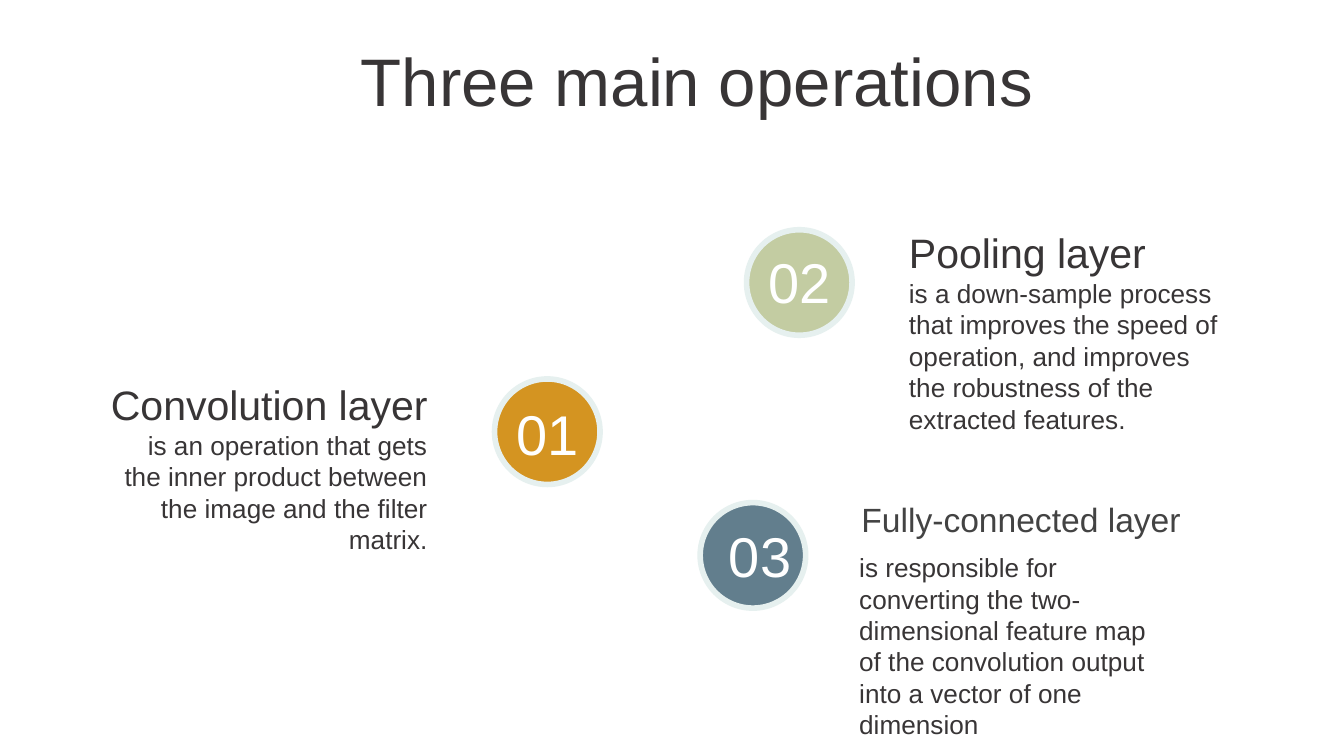
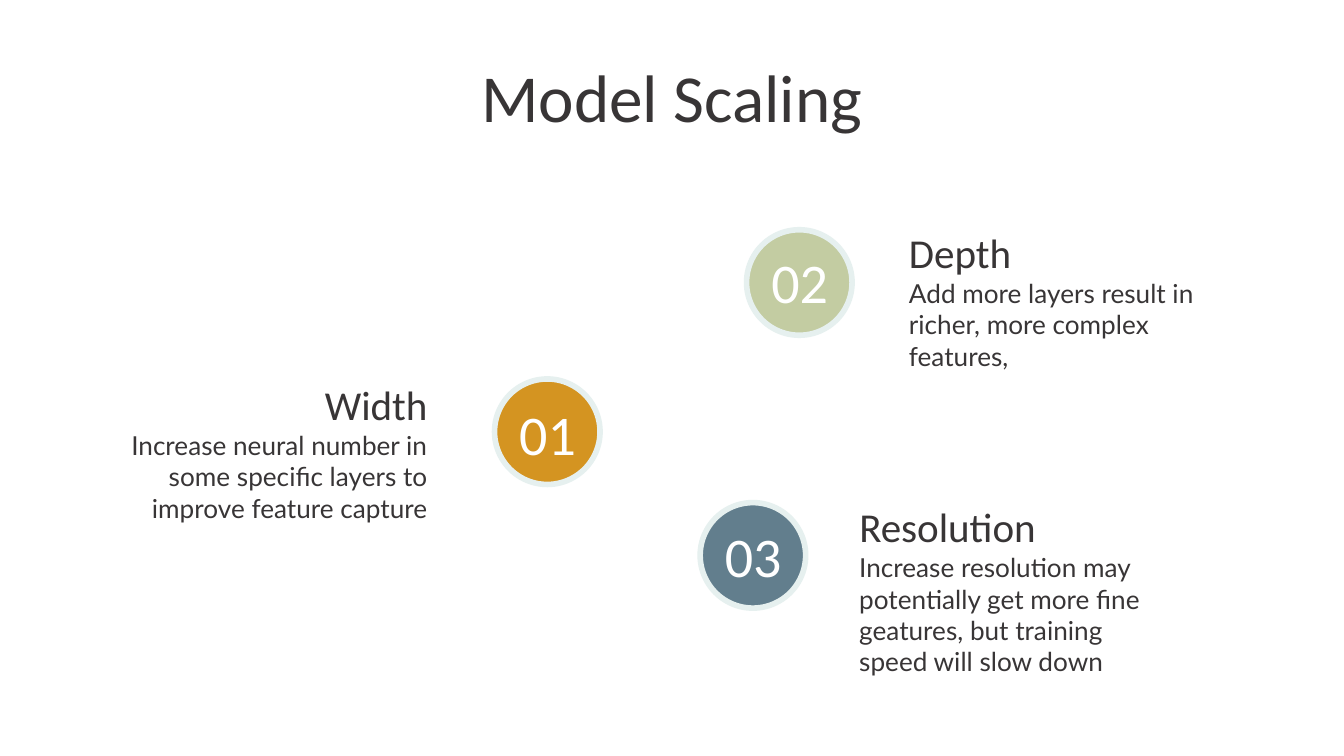
"""Build two slides that each show three numbered ideas around a centre."""
import pptx
import pptx.dml.color
import pptx.enum.shapes
import pptx.enum.text
import pptx.util

ALIGN = pptx.enum.text.PP_ALIGN
ANCHOR = pptx.enum.text.MSO_ANCHOR
PX = 4572
PAGE = (2000, 1125)
DISC = 157
INSET = 20
HEAD_RISE, HEAD_TALL = 87, 126
BODY_WIDE, BODY_TALL = 500, 192

THEME = {
    "ink": "383536", "soft": "434343", "white": "FFFFFF", "ring": "E6F0EF",
    "title": 36, "number": 30, "head": 22, "small": 18, "body": 14,
    "line": 16.8, "edge": 3,
}

SPOTS = [
    {"mark": "01", "disc": (736, 564), "fill": "D49421",
     "label": (732, 600, 166, 88), "body": (156, 619), "align": ALIGN.RIGHT},
    {"mark": "02", "disc": (1111, 342), "fill": "C3CCA2",
     "label": (1105, 367, 170, 104), "body": (1333, 393), "align": ALIGN.LEFT},
    {"mark": "03", "disc": (1042, 748), "fill": "627E8D",
     "label": (1058, 774, 126, 104), "body": (1259, 801), "align": ALIGN.LEFT},
]

SLIDES = [
    {"title": "Three main operations", "box": (413, 38, 1248, 138),
     "font": "Arial", "body font": "Arial",
     "items": [
         {"head": "Convolution layer", "wide": 578,
          "body": "is an operation that gets the inner product between "
                  "the image and the filter matrix."},
         {"head": "Pooling layer", "wide": 512,
          "body": "is a down-sample process that improves the speed of "
                  "operation, and improves the robustness of the extracted "
                  "features."},
         {"head": "Fully-connected layer", "head box": (1162, 697, 616, 126),
          "indent": 100, "size": "small", "tint": "soft",
          "label": (1058, 774, 146, 104),
          "body": "is responsible for converting the two-dimensional feature "
                  "map of the convolution output into a vector of one "
                  "dimension"},
     ]},
    {"title": "Model Scaling", "box": (530, 62, 940, 138),
     "font": "Calibri", "body font": "Lato",
     "items": [
         {"head": "Width", "wide": 440,
          "body": "Increase neural number in some specific layers to improve "
                  "feature capture"},
         {"head": "Depth", "wide": 342,
          "body": "Add more layers result in richer, more complex features,"},
         {"head": "Resolution", "wide": 342,
          "body": "Increase resolution may potentially get more fine geatures, "
                  "but training speed will slow down"},
     ]},
]


def scale(box):
    return [value * PX for value in box]


def shade(name):
    return pptx.dml.color.RGBColor.from_string(THEME.get(name, name))


def write(shape, text, font, size, tint="ink", align=ALIGN.LEFT,
          anchor=ANCHOR.TOP, indent=0):
    frame = shape.text_frame
    frame.word_wrap = True
    frame.auto_size = pptx.enum.text.MSO_AUTO_SIZE.NONE
    frame.vertical_anchor = anchor
    frame.margin_left = (INSET + indent) * PX
    frame.margin_right = frame.margin_top = frame.margin_bottom = INSET * PX
    frame.text = text
    para = frame.paragraphs[0]
    para.alignment = align
    para.font.name = font
    para.font.size = pptx.util.Pt(THEME[size])
    para.font.color.rgb = shade(tint)
    return para


def add_text(slide, box, *words, **style):
    return write(slide.shapes.add_textbox(*scale(box)), *words, **style)


def add_title(slide, page):
    title = slide.shapes.title
    title.left, title.top, title.width, title.height = scale(page["box"])
    write(title, page["title"], page["font"], "title", align=ALIGN.CENTER)


def add_disc(slide, spot):
    disc = slide.shapes.add_shape(pptx.enum.shapes.MSO_SHAPE.OVAL,
                                  *scale((*spot["disc"], DISC, DISC)))
    disc.shadow.inherit = False
    disc.fill.solid()
    disc.fill.fore_color.rgb = shade(spot["fill"])
    disc.line.color.rgb = shade("ring")
    disc.line.width = pptx.util.Pt(THEME["edge"])


def head_box(spot, item):
    if "head box" in item:
        return item["head box"]
    left, top = spot["body"]
    if spot["align"] == ALIGN.RIGHT:
        left += BODY_WIDE - item["wide"]
    return left, top - HEAD_RISE, item["wide"], HEAD_TALL


def add_item(slide, page, spot, item):
    add_disc(slide, spot)
    add_text(slide, item.get("label", spot["label"]), spot["mark"],
             page["font"], "number", tint="white", align=ALIGN.CENTER,
             anchor=ANCHOR.MIDDLE)
    add_text(slide, head_box(spot, item), item["head"], page["font"],
             item.get("size", "head"), tint=item.get("tint", "ink"),
             align=spot["align"], anchor=ANCHOR.BOTTOM,
             indent=item.get("indent", 0))
    body = add_text(slide, (*spot["body"], BODY_WIDE, BODY_TALL), item["body"],
                    page["body font"], "body", align=spot["align"])
    body.line_spacing = pptx.util.Pt(THEME["line"])


def main():
    deck = pptx.Presentation()
    deck.slide_width, deck.slide_height = scale(PAGE)
    for page in SLIDES:
        slide = deck.slides.add_slide(deck.slide_layouts[5])
        add_title(slide, page)
        for spot, item in zip(SPOTS, page["items"]):
            add_item(slide, page, spot, item)
    deck.save("out.pptx")


if __name__ == "__main__":
    main()
